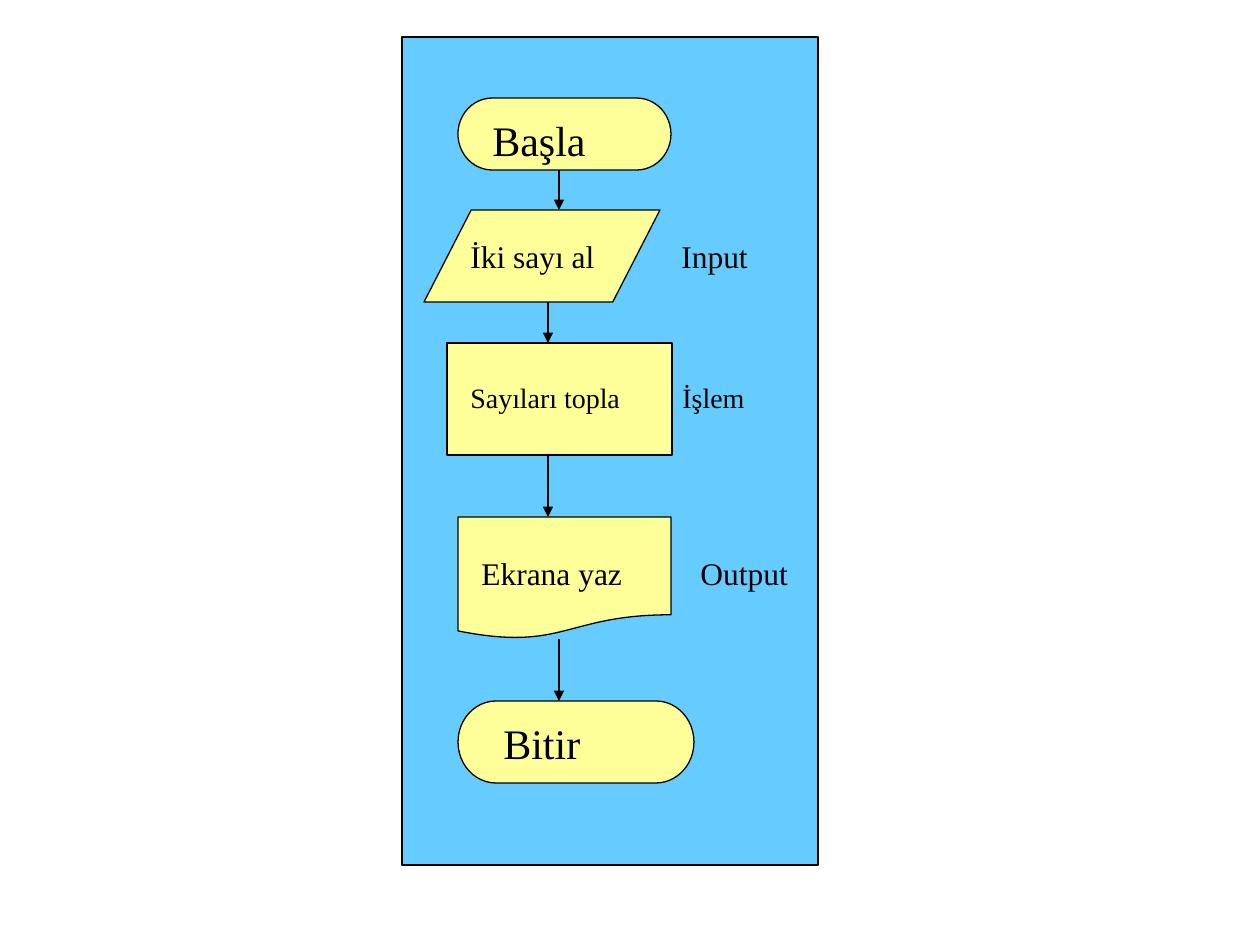
from itertools import pairwise

from lxml import etree
from pptx import Presentation
from pptx import util as u
from pptx.dml.color import RGBColor
from pptx.enum import shapes, text
from pptx.oxml.ns import qn

PX = 914400 / 126
COLORS = {"panel": "66CCFF", "step": "FFFF99", "ink": "000000"}
FONT = "Times New Roman"


def px(*values):
    """Turn pixel lengths into EMU."""
    return [round(v * PX) for v in values]


def add_text(slide, content, box, size, tab=None):
    """Add a one-line text; tab is where the side label starts, in px."""
    tf = slide.shapes.add_textbox(*px(*box)).text_frame
    tf.word_wrap = True
    tf.auto_size = text.MSO_AUTO_SIZE.SHAPE_TO_FIT_TEXT
    p = tf.paragraphs[0]
    pPr = p._p.get_or_add_pPr()
    before = etree.SubElement(pPr, qn("a:spcBef"))
    etree.SubElement(before, qn("a:spcPct"), val="50000")
    if tab:
        tabs = etree.SubElement(pPr, qn("a:tabLst"))
        etree.SubElement(tabs, qn("a:tab"), pos=str(px(tab)[0]), algn="l")
    r = p.add_run()
    r.text = content
    r.font.name = FONT
    r.font.size = u.Pt(size)
    r.font.color.rgb = RGBColor.from_string(COLORS["ink"])


prs = Presentation()
prs.slide_width, prs.slide_height = px(1260, 945)
s = prs.slides.add_slide(prs.slide_layouts[6])

# Panel and flowchart steps
kinds = shapes.MSO_SHAPE
panel = (kinds.RECTANGLE, (402, 37, 416, 828), "panel")
steps = [
    (kinds.FLOWCHART_TERMINATOR, (458, 98, 213, 72), "step"),
    (kinds.FLOWCHART_DATA, (424, 210, 236, 92), "step"),
    (kinds.FLOWCHART_PROCESS, (447, 343, 225, 112), "step"),
    (kinds.FLOWCHART_DOCUMENT, (458, 517, 213, 122), "step"),
    (kinds.FLOWCHART_TERMINATOR, (458, 701, 236, 82), "step"),
]
for kind, box, color in [panel, *steps]:
    sp = s.shapes.add_shape(kind, *px(*box))
    sp.shadow.inherit = False
    sp.fill.solid()
    sp.fill.fore_color.rgb = RGBColor.from_string(COLORS[color])
    sp.line.color.rgb = RGBColor.from_string(COLORS["ink"])
    sp.line.width = u.Pt(0.75)

# Step texts with their side labels
add_text(s, "Başla", (480, 108, 169, 62), 24)
add_text(s, "İki sayı al\tInput", (458, 231, 326, 49), 18, tab=211)
add_text(s, "Sayıları topla\tİşlem", (458, 374, 349, 45), 16, tab=212)
add_text(s, "Ekrana yaz\tOutput", (469, 548, 382, 49), 18, tab=219)
add_text(s, "Bitir", (491, 711, 203, 62), 24)

# Arrows from the bottom of each step to the top of the next
boxes = [box for _, box, _ in steps]
for x, (upper, lower) in zip((559, 548, 548, 559), pairwise(boxes)):
    line = s.shapes.add_connector(
        shapes.MSO_CONNECTOR.STRAIGHT, *px(x, upper[1] + upper[3], x, lower[1]))
    line.line.color.rgb = RGBColor.from_string(COLORS["ink"])
    line.line.width = u.Pt(0.75)
    etree.SubElement(line.line._get_or_add_ln(), qn("a:tailEnd"), type="triangle")
    etree.SubElement(line._element.spPr, qn("a:effectLst"))

prs.save("out.pptx")
